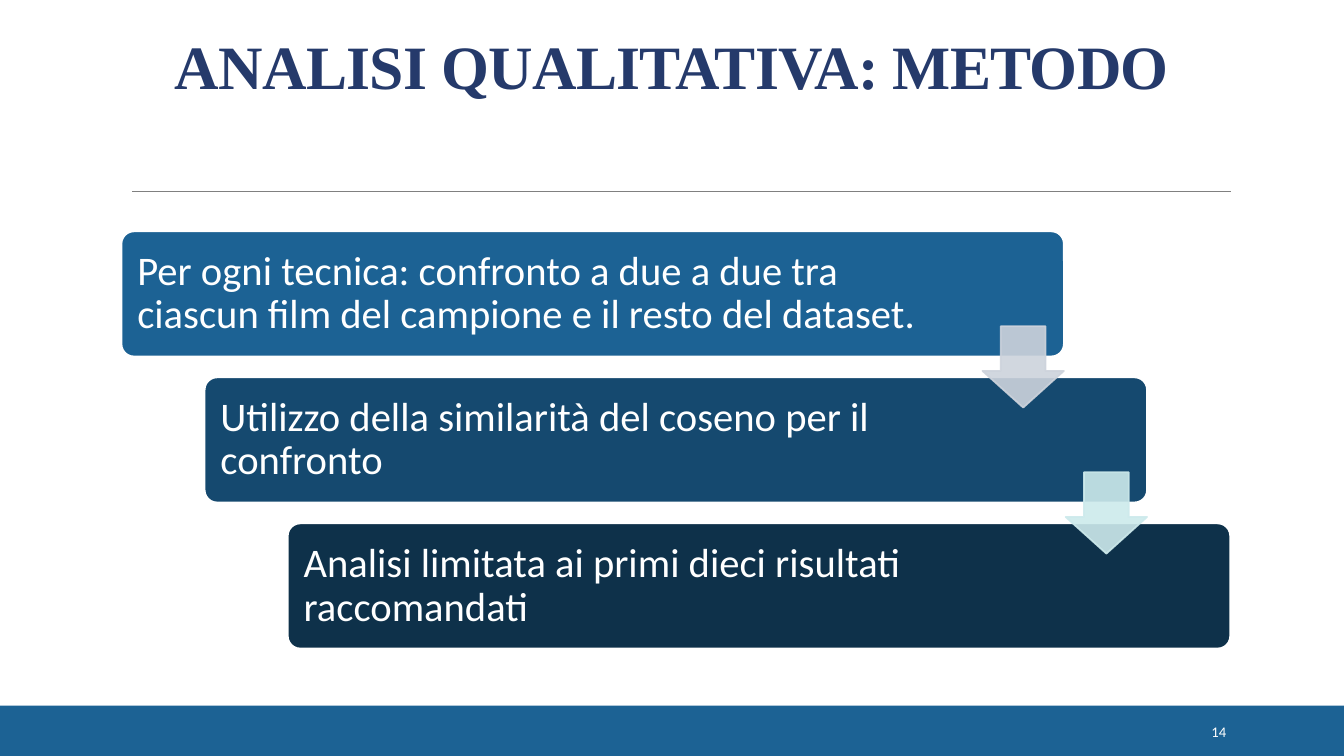
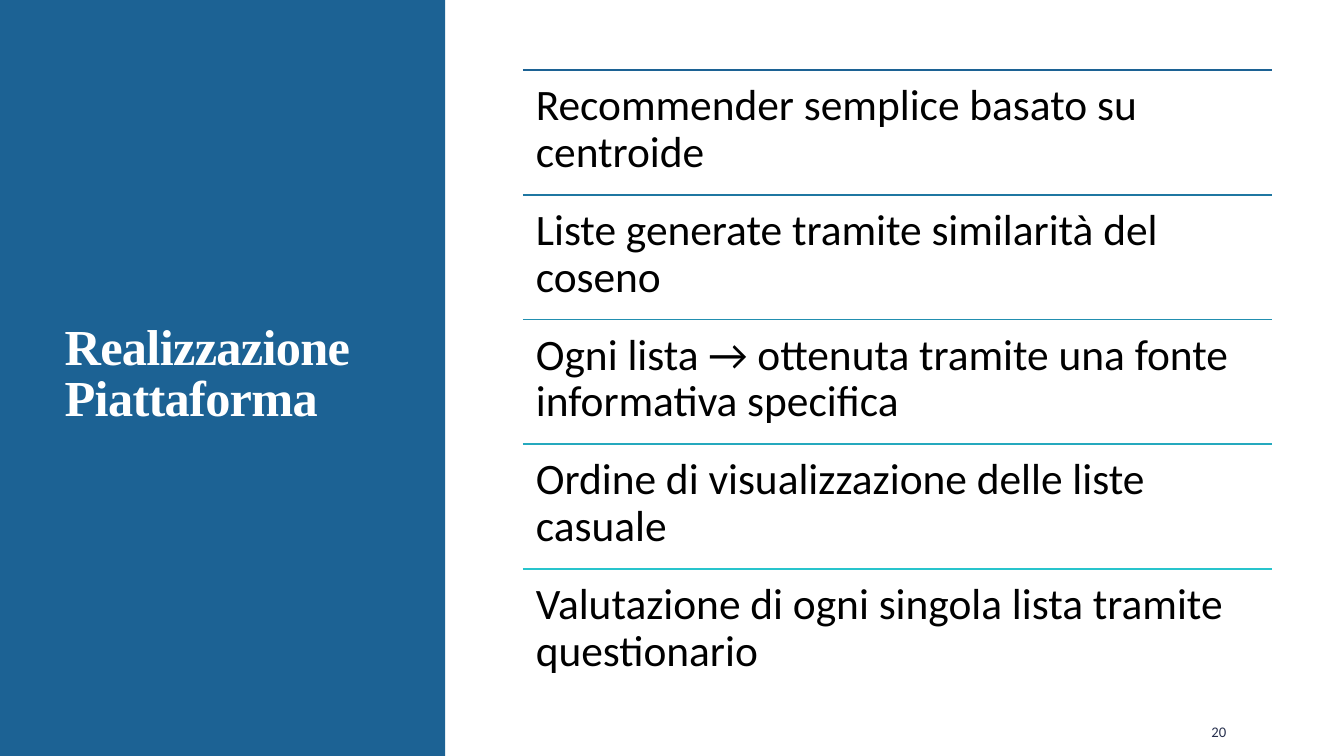
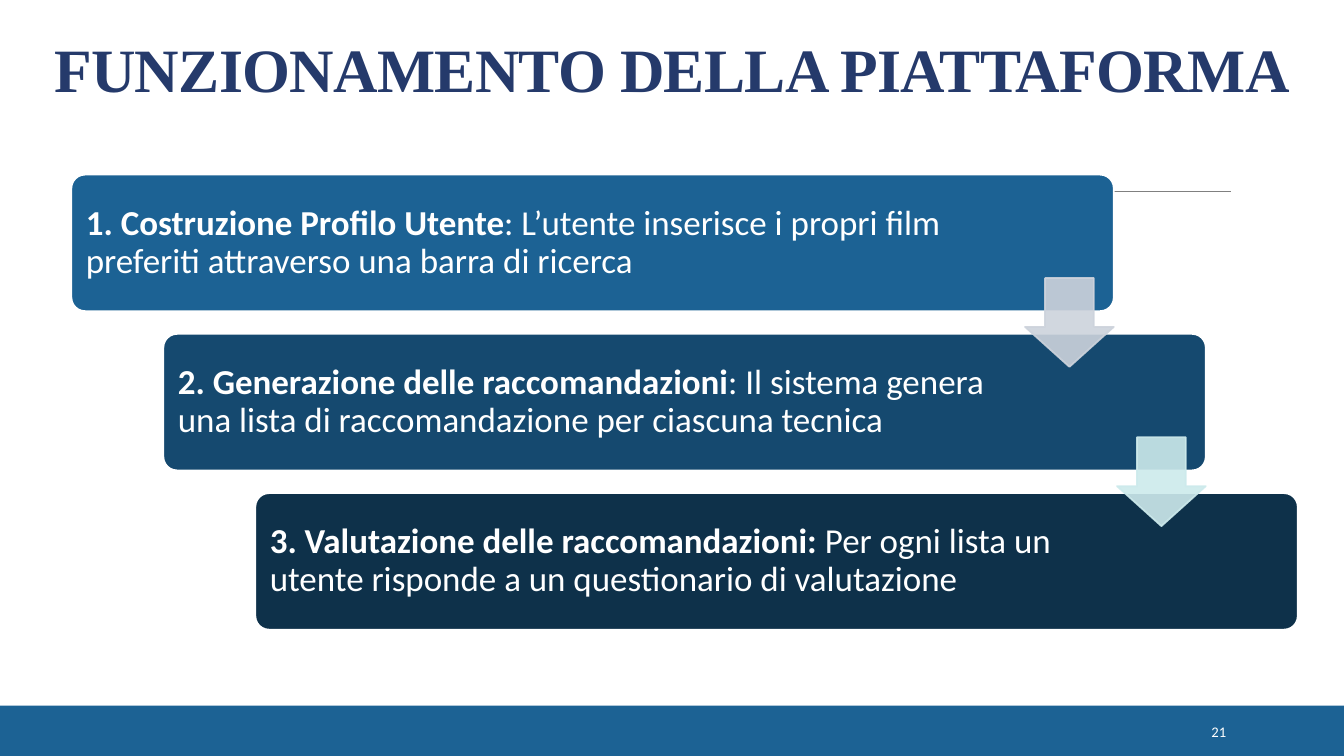
from pptx import Presentation
from pptx.dml.color import RGBColor
from pptx.enum.shapes import MSO_CONNECTOR, MSO_SHAPE
from pptx.enum.text import MSO_ANCHOR, MSO_AUTO_SIZE, PP_ALIGN
from pptx.oxml.ns import qn
from pptx.util import Pt
from lxml import etree

RECT, ROUNDED, DOWN_ARROW = MSO_SHAPE.RECTANGLE, MSO_SHAPE.ROUNDED_RECTANGLE, MSO_SHAPE.DOWN_ARROW
STRAIGHT = MSO_CONNECTOR.STRAIGHT
TOP, MIDDLE, BOTTOM = MSO_ANCHOR.TOP, MSO_ANCHOR.MIDDLE, MSO_ANCHOR.BOTTOM
LEFT, CENTER, RIGHT = PP_ALIGN.LEFT, PP_ALIGN.CENTER, PP_ALIGN.RIGHT
NO_FIT = MSO_AUTO_SIZE.NONE

SLIDE_W, SLIDE_H = 960, 540
BODY_FONT, TITLE_FONT = "Calibri", "Times New Roman"
COLORS = {
    "blue": "1C6294", "white": "FFFFFF", "black": "000000",
    "title": "253A6B", "page": "27304E", "rule": "808080",
}
STEP_FILLS = ["1C6294", "15496F", "0E314A"]
ARROW_FILLS = ["CDD3DC", "CDEAEC"]
ROW_RULES = ["1C6294", "1F77A2", "228FB0", "25A9BE", "28C4CC"]
# Share of a step's width kept free at its right for the arrows
STEP_RESERVES = [0.135, 0.175, 0.175]

METHOD_STEPS = [
    [("Per ogni tecnica: confronto a due a due tra ciascun film del campione "
      "e il resto del dataset.", False)],
    [("Utilizzo della similarità del coseno per il confronto", False)],
    [("Analisi limitata ai primi dieci risultati raccomandati", False)],
]
PLATFORM_POINTS = [
    "Recommender semplice basato su centroide",
    "Liste generate tramite similarità del coseno",
    "Ogni lista → ottenuta tramite una fonte informativa specifica",
    "Ordine di visualizzazione delle liste casuale",
    "Valutazione di ogni singola lista tramite questionario",
]
USAGE_STEPS = [
    [("1. Costruzione Profilo Utente", True),
     (": L’utente inserisce i propri film preferiti attraverso una barra di ricerca", False)],
    [("2. Generazione delle raccomandazioni", True),
     (": Il sistema genera una lista di raccomandazione per ciascuna tecnica", False)],
    [("3. Valutazione delle raccomandazioni: ", True),
     ("Per ogni lista un utente risponde a un questionario di valutazione", False)],
]


def rgb(hex_color):
    return RGBColor.from_string(hex_color)


def write(shape, runs, size, color, font=BODY_FONT, align=LEFT, anchor=MIDDLE, spacing=1.0):
    """Fill a shape with one paragraph of (text, bold) runs."""
    frame = shape.text_frame
    frame.word_wrap = True
    frame.auto_size = NO_FIT
    frame.vertical_anchor = anchor
    paragraph = frame.paragraphs[0]
    paragraph.alignment = align
    paragraph.line_spacing = spacing
    for text, bold in runs:
        run = paragraph.add_run()
        run.text = text
        run.font.name = font
        run.font.size = Pt(size)
        run.font.bold = bold
        run.font.color.rgb = rgb(color)


def pad(shape, padding, extra_right=0):
    frame = shape.text_frame
    frame.margin_left = frame.margin_top = frame.margin_bottom = Pt(padding)
    frame.margin_right = Pt(padding + extra_right)


def add_block(slide, kind, box, fill, line=None):
    block = slide.shapes.add_shape(kind, *map(Pt, box))
    block.shadow.inherit = False
    block.fill.solid()
    block.fill.fore_color.rgb = rgb(fill)
    if line:
        block.line.color.rgb = rgb(line)
        block.line.width = Pt(1.25)
    else:
        block.line.fill.background()
    return block


def add_rule(slide, left, top, width, color, weight):
    rule = slide.shapes.add_connector(STRAIGHT, Pt(left), Pt(top), Pt(left + width), Pt(top))
    rule.line.color.rgb = rgb(color)
    rule.line.width = Pt(weight)
    etree.SubElement(rule._element.spPr, qn("a:effectLst"))


def set_title(slide, text, box, size, color, align, anchor):
    title = slide.shapes.title
    title.left, title.top, title.width, title.height = map(Pt, box)
    write(title, [(text, True)], size, color, TITLE_FONT, align, anchor, 0.85)
    title.text_frame.paragraphs[0].runs[0]._r.get_or_add_rPr().set("spc", "-50")


def add_page_number(slide, number, color):
    page = slide.shapes.add_textbox(Pt(780), Pt(508.5), Pt(103), Pt(28.75))
    write(page, [(str(number), False)], 10.5, color, align=RIGHT)


def add_staircase(slide, box, steps, size):
    """Descending steps joined by arrows, in fixed shares of the box."""
    left, top, width, height = box
    step_w, step_h = 0.85 * width, 0.3 * height
    shift_x, shift_y = 0.075 * width, 0.35 * height
    for i, (runs, fill, reserve) in enumerate(zip(steps, STEP_FILLS, STEP_RESERVES)):
        step = add_block(slide, ROUNDED,
                         (left + i * shift_x, top + i * shift_y, step_w, step_h),
                         fill, COLORS["white"])
        step.adjustments[0] = 0.1
        write(step, runs, size, COLORS["white"], spacing=0.9)
        pad(step, 0.3 * size, reserve * step_w)

    arrow_size = 0.195 * height
    for i, fill in enumerate(ARROW_FILLS):
        arrow = add_block(slide, DOWN_ARROW,
                          (left + step_w - arrow_size + i * shift_x,
                           top + 0.2275 * height + i * shift_y, arrow_size, arrow_size),
                          fill, fill)
        arrow.adjustments[0], arrow.adjustments[1] = 0.55, 0.45
        for color in arrow._element.spPr.iter(qn("a:srgbClr")):
            etree.SubElement(color, qn("a:alpha")).set("val", "90000")


def add_ruled_list(slide, box, points, size):
    left, top, width, height = box
    row_h = height / len(points)
    for i, (point, color) in enumerate(zip(points, ROW_RULES)):
        row_top = top + i * row_h
        add_rule(slide, left, row_top, width, color, 1.25)
        row = slide.shapes.add_textbox(Pt(left), Pt(row_top), Pt(width), Pt(row_h))
        write(row, [(point, False)], size, COLORS["black"], anchor=TOP, spacing=0.9)
        pad(row, 0.3 * size)


def staircase_slide(prs, title, title_h, box, steps, size, number):
    slide = prs.slides.add_slide(prs.slide_layouts[5])
    add_block(slide, RECT, (0, 504, SLIDE_W, 36), COLORS["blue"])
    add_rule(slide, 94.5, 136.5, 784.5, COLORS["rule"], 0.5)
    set_title(slide, title, (0, 0, SLIDE_W, title_h), 44, COLORS["title"], CENTER, BOTTOM)
    add_staircase(slide, box, steps, size)
    add_page_number(slide, number, COLORS["white"])


def side_panel_slide(prs, title, points, number):
    slide = prs.slides.add_slide(prs.slide_layouts[5])
    panel = add_block(slide, RECT, (0, 0, 318, SLIDE_H), COLORS["blue"])
    slide.shapes.title._element.addprevious(panel._element)
    set_title(slide, title, (39, 41, 242.5, 454.5), 36, COLORS["white"], LEFT, MIDDLE)
    add_ruled_list(slide, (373.5, 50.25, 535, 445), points, 31)
    add_page_number(slide, number, COLORS["page"])


def main():
    prs = Presentation()
    prs.slide_width, prs.slide_height = Pt(SLIDE_W), Pt(SLIDE_H)
    staircase_slide(prs, "ANALISI QUALITATIVA: METODO", 76.5,
                    (86.75, 165.25, 792, 298), METHOD_STEPS, 29, 14)
    side_panel_slide(prs, "Realizzazione Piattaforma", PLATFORM_POINTS, 20)
    staircase_slide(prs, "FUNZIONAMENTO DELLA PIATTAFORMA", 79,
                    (51, 124.75, 876, 325), USAGE_STEPS, 25, 21)
    prs.save("out.pptx")


if __name__ == "__main__":
    main()
